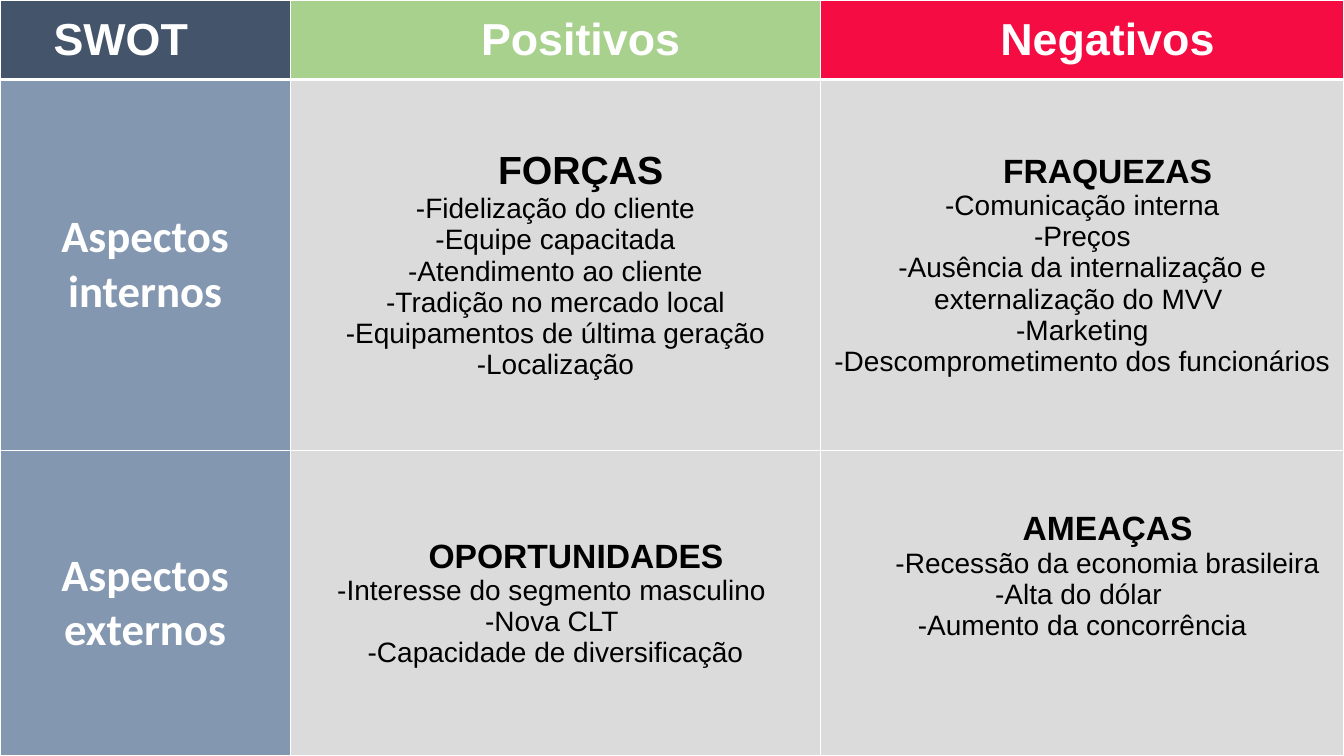
from collections import namedtuple
from dataclasses import dataclass

from lxml import etree
from pptx import Presentation
from pptx.dml.color import RGBColor
from pptx.enum.text import MSO_ANCHOR, PP_ALIGN
from pptx.oxml.ns import qn
from pptx.util import Cm, Pt

CENTER, JUSTIFY = PP_ALIGN.CENTER, PP_ALIGN.JUSTIFY
MIDDLE = MSO_ANCHOR.MIDDLE

Box = namedtuple("Box", "left top width height")
Quadrant = namedtuple("Quadrant", "heading items size")


@dataclass(frozen=True)
class Theme:
    """Colours, fonts and type sizes of the slide."""

    white: str = "FFFFFF"
    black: str = "000000"
    corner: str = "44546A"
    positive: str = "A9D18E"
    negative: str = "F40C43"
    aspect: str = "8497B0"
    quadrant: str = "DBDBDB"
    font: str = "Arial"
    aspect_font: str = "Calibri"
    label_size: int = 32
    strong_size: int = 28
    heading_size: int = 24
    item_size: int = 20
    thin: int = 1
    thick: int = 3


THEME = Theme()
COLUMN_WIDTHS = (2.88, 5.26, 5.19)
ROW_HEIGHTS = (0.79, 3.68, 3.03)
INDENT = Cm(1.27)
SIDE_MARGIN, END_MARGIN = Cm(0.08), Cm(0.05)

HEADERS = (
    ("SWOT", THEME.corner, JUSTIFY),
    ("Positivos", THEME.positive, CENTER),
    ("Negativos", THEME.negative, CENTER),
)
ASPECTS = ("Aspectos internos", "Aspectos externos")
STRENGTHS = Quadrant("FORÇAS", (
    "-Fidelização do cliente",
    "-Equipe capacitada",
    "-Atendimento ao cliente",
    "-Tradição no mercado local",
    "-Equipamentos de última geração",
    "-Localização",
), THEME.strong_size)
WEAKNESSES = Quadrant("FRAQUEZAS", (
    "-Comunicação interna",
    "-Preços",
    "-Ausência da internalização e externalização do MVV ",
    "-Marketing",
    "-Descomprometimento dos funcionários",
), THEME.heading_size)
OPPORTUNITIES = Quadrant("OPORTUNIDADES ", (
    "-Interesse do segmento masculino ",
    "-Nova CLT ",
    "-Capacidade de diversificação",
), THEME.heading_size)
THREATS = Quadrant("AMEAÇAS", (
    "-Recessão da economia brasileira",
    "-Alta do dólar ",
    "-Aumento da concorrência",
), THEME.heading_size)


def style_cell(cell, fill, bottom):
    """Give a cell its borders, fill, margins and anchor."""
    properties = cell._tc.get_or_add_tcPr()
    for side in "LRTB":
        weight = bottom if side == "B" else THEME.thin
        line = etree.SubElement(properties, qn(f"a:ln{side}"), w=str(Pt(weight)))
        solid = etree.SubElement(line, qn("a:solidFill"))
        etree.SubElement(solid, qn("a:srgbClr"), val=THEME.white)
    cell.fill.solid()
    cell.fill.fore_color.rgb = RGBColor.from_string(fill)
    cell.margin_left = cell.margin_right = SIDE_MARGIN
    cell.margin_top = cell.margin_bottom = END_MARGIN
    cell.vertical_anchor = MIDDLE


def style_span(span, size, color, bold, font=THEME.font):
    """Set the type of one run."""
    span.font.name = font
    span.font.size = Pt(size)
    span.font.bold = bold
    span.font.color.rgb = RGBColor.from_string(color)


def write_para(para, lines, align=CENTER, indent=INDENT):
    """Write lines into one paragraph and return its runs."""
    para.text = "\n".join(lines)
    para.alignment = align
    para._p.get_or_add_pPr().set("indent", str(indent))
    return para.runs


def fill_label(cell, text, fill, align=CENTER, indent=INDENT,
               font=THEME.font, bottom=THEME.thin):
    """Fill a header or aspect cell."""
    style_cell(cell, fill, bottom)
    for span in write_para(cell.text_frame.paragraphs[0], [text], align, indent):
        style_span(span, THEME.label_size, THEME.white, True, font)


def fill_quadrant(cell, quadrant, separate=False):
    """Fill a cell with a heading and its items, in one or two paragraphs."""
    style_cell(cell, THEME.quadrant, THEME.thin)
    frame = cell.text_frame
    para = frame.paragraphs[0]
    if separate:
        spans = write_para(para, [quadrant.heading])
        spans += write_para(frame.add_paragraph(), quadrant.items)
    else:
        spans = write_para(para, [quadrant.heading, *quadrant.items])
    style_span(spans[0], quadrant.size, THEME.black, True)
    for span in spans[1:]:
        style_span(span, THEME.item_size, THEME.black, False)


def add_swot(page, box):
    """Place the SWOT table so that it fills the given box."""
    table = page.shapes.add_table(len(ROW_HEIGHTS), len(COLUMN_WIDTHS), *box).table
    table.horz_banding = False
    for column, share in zip(table.columns, COLUMN_WIDTHS):
        column.width = round(box.width * share / sum(COLUMN_WIDTHS))
    for row, share in zip(table.rows, ROW_HEIGHTS):
        row.height = round(box.height * share / sum(ROW_HEIGHTS))
    for index, (text, fill, align) in enumerate(HEADERS):
        fill_label(table.cell(0, index), text, fill, align, bottom=THEME.thick)
    for index, text in enumerate(ASPECTS, start=1):
        fill_label(table.cell(index, 0), text, THEME.aspect, indent=0,
                   font=THEME.aspect_font)
    fill_quadrant(table.cell(1, 1), STRENGTHS)
    fill_quadrant(table.cell(1, 2), WEAKNESSES)
    fill_quadrant(table.cell(2, 1), OPPORTUNITIES)
    fill_quadrant(table.cell(2, 2), THREATS, separate=True)
    table.cell(2, 2).margin_bottom = Cm(1.42)


def main():
    """Build and save the deck."""
    deck = Presentation()
    deck.slide_width, deck.slide_height = Cm(33.87), Cm(19.05)
    page = deck.slides.add_slide(deck.slide_layouts[6])
    add_swot(page, Box(Cm(0), Cm(0), deck.slide_width, deck.slide_height))
    deck.save("out.pptx")


if __name__ == "__main__":
    main()
